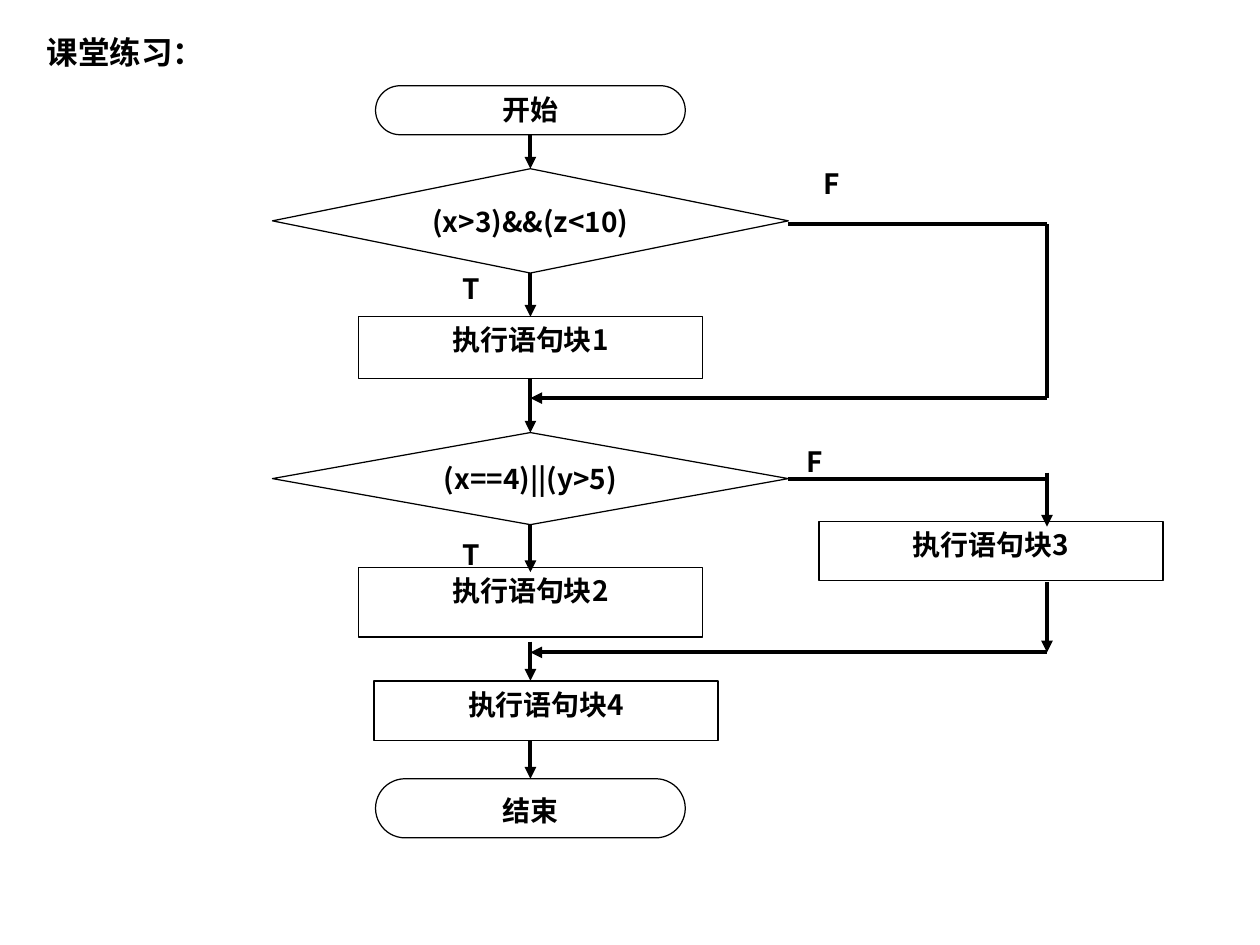
from lxml.etree import SubElement
from pptx import Presentation
from pptx.dml.color import RGBColor as RGB
from pptx.enum.shapes import MSO_CONNECTOR as LINK, MSO_SHAPE as SHAPE
from pptx.enum.text import MSO_ANCHOR as ANCHOR, PP_ALIGN as ALIGN
from pptx.oxml.ns import qn
from pptx.util import Pt

COLORS = {"ink": "000000", "paper": "FFFFFF"}
CJK = "Noto Sans CJK SC"
TOP, RIGHT, BOTTOM = 0, 3, 2


def color(name):
    """Return a named colour."""
    return RGB.from_string(COLORS[name])


def write(frame, text, size=16, font=CJK, align=ALIGN.CENTER, anchor=ANCHOR.TOP,
          inset=(7.2, 3.6, 7.2, 3.6), wrap=True):
    """Put bold text in a frame."""
    frame.word_wrap = wrap
    frame.vertical_anchor = anchor
    (frame.margin_left, frame.margin_top,
     frame.margin_right, frame.margin_bottom) = map(Pt, inset)
    para = frame.paragraphs[0]
    para.alignment = align
    run = para.add_run()
    run.text = text
    run.font.size, run.font.bold, run.font.name = Pt(size), True, font
    run.font.color.rgb = color("ink")
    SubElement(run.font._element, qn("a:ea"), typeface=CJK)


def node(slide, kind, mid, top, width, height, text, **style):
    """Add an outlined flowchart node centred on mid."""
    shape = slide.shapes.add_shape(
        kind, Pt(mid - width / 2), Pt(top), Pt(width), Pt(height))
    shape.shadow.inherit = False
    shape.fill.background()
    shape.line.color.rgb = color("ink")
    shape.line.width = Pt(0.71)
    write(shape.text_frame, text, **style)
    return shape


def pill(slide, mid, top, height, text, **style):
    """Add a start or end node."""
    shape = node(slide, SHAPE.ROUNDED_RECTANGLE, mid, top, 177, height, text, **style)
    shape.adjustments[0] = 0.5
    return shape


def block(slide, mid, top, height, text):
    """Add a statement block."""
    return node(slide, SHAPE.RECTANGLE, mid, top, 196.6, height, text)


def choice(slide, mid, top, height, text):
    """Add a decision diamond."""
    return node(slide, SHAPE.FLOWCHART_DECISION, mid, top, 294.8, height, text,
                anchor=ANCHOR.MIDDLE, wrap=False)


def wire(slide, start, end, arrow=True, tail=None, head=None):
    """Add a line, joined to (shape, site) pairs where given."""
    line = slide.shapes.add_connector(LINK.STRAIGHT, *map(Pt, start + end))
    line.line.color.rgb = color("ink")
    line.line.width = Pt(2.25)
    if tail:
        line.begin_connect(*tail)
    if head:
        line.end_connect(*head)
    if arrow:
        SubElement(line.line._get_or_add_ln(), qn("a:tailEnd"), type="triangle")
    SubElement(line._element.spPr, qn("a:effectLst"))


def label(slide, left, top, text):
    """Add a branch label."""
    box = slide.shapes.add_textbox(Pt(left), Pt(top), Pt(68.4), Pt(19.4))
    write(box.text_frame, text, align=ALIGN.JUSTIFY, inset=(0, 0, 0, 0))


def heading(slide, left, top, width, height):
    """Place the slide title."""
    title = slide.shapes.title
    title.left, title.top, title.width, title.height = map(
        Pt, (left, top, width, height))
    write(title.text_frame, "课堂练习：", size=18, font="Arial", align=ALIGN.LEFT)


def trunk(slide, left, top, width):
    """Draw the main column and return its two decisions."""
    mid = left + width / 2
    start = pill(slide, mid, top, 28, "开始", inset=(7.2, 0, 7.2, 3.6))
    first = choice(slide, mid, top + 47.4, 59.6, "(x>3)&&(z<10)")
    one = block(slide, mid, top + 132, 35.3, "执行语句块1")
    second = choice(slide, mid, top + 198.2, 52.6, "(x==4)||(y>5)")
    block(slide, mid, top + 275.2, 39.8, "执行语句块2")
    block(slide, mid + 9, top + 340.2, 33.8, "执行语句块4")
    end = pill(slide, mid, top + 396, 33.8, "结束")

    steps = [start, first, one, second]
    for above, below in zip(steps, steps[1:]):
        wire(slide, (mid, top), (mid, top), tail=(above, BOTTOM), head=(below, TOP))
    wire(slide, (mid, top), (mid, top + 278), tail=(second, BOTTOM))
    wire(slide, (mid, top + 317.6), (mid, top + 340))
    wire(slide, (mid, top + 374), (mid, top + 396), head=(end, TOP))
    for drop in (106, 258):
        label(slide, left + 108.8, top + drop, "T")
    return first, second


def bypass(slide, left, top, width, height, axis):
    """Draw the false path that skips the first block."""
    right, base = left + width, top + height
    label(slide, left + 20, top - 33, "F")
    wire(slide, (left, top), (right, top), arrow=False)
    wire(slide, (right, top), (right, base), arrow=False)
    wire(slide, (right, base), (axis, base))


def detour(slide, left, top, width, height, axis, second):
    """Draw the false path through the third block."""
    right, base = left + width, top + height
    label(slide, left + 10.4, top - 19.4, "F")
    block(slide, right - 32, top + 24.6, 33.8, "执行语句块3")
    wire(slide, (left, top), (right, top), arrow=False, tail=(second, RIGHT))
    wire(slide, (right, top - 3.4), (right, top + 27.4))
    wire(slide, (right, top + 59), (right, base))
    wire(slide, (right, base), (axis, base))


def main():
    """Build the flowchart slide."""
    deck = Presentation()
    deck.slide_width, deck.slide_height = Pt(720), Pt(540)
    slide = deck.slides.add_slide(deck.slide_layouts[5])
    slide.background.fill.solid()
    slide.background.fill.fore_color.rgb = color("paper")
    left, width = 155.7, 294.8
    axis, edge = left + width / 2, left + width
    heading(slide, 19.4, 15.1, 232.6, 28.8)
    first, second = trunk(slide, left, 49, width)
    bypass(slide, edge, 128.2, 147.8, 99.3, axis)
    detour(slide, edge, 273.5, 147.8, 99.3, axis, second)
    deck.save("out.pptx")


if __name__ == "__main__":
    main()
